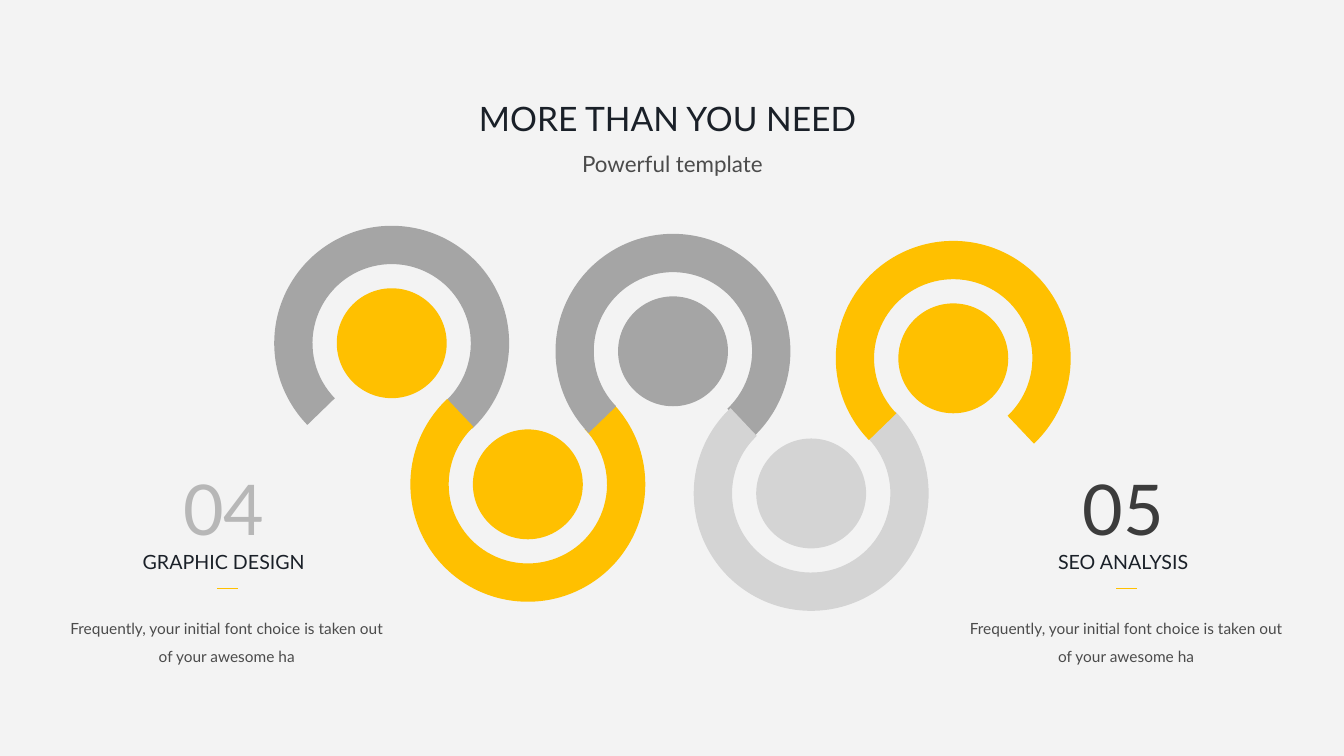
from dataclasses import dataclass
from lxml.etree import SubElement
from pptx import Presentation
from pptx.dml.color import RGBColor
from pptx.enum.shapes import MSO_CONNECTOR, MSO_SHAPE
from pptx.enum.text import MSO_ANCHOR, MSO_AUTO_SIZE, PP_ALIGN
from pptx.oxml.ns import qn
from pptx.util import Inches, Pt


@dataclass(frozen=True)
class Theme:
    font: str = "Lato"
    background: str = "F3F3F3"
    ink: str = "1A2028"
    body: str = "4B4B4B"
    dark: str = "3C3C3C"
    pale: str = "B7B7B7"
    gray: str = "A5A5A5"
    silver: str = "D4D4D4"
    accent: str = "FFC000"
    title_size: float = 24
    subtitle_size: float = 16
    number_size: float = 50
    heading_size: float = 14
    body_size: float = 11


T = Theme()
RING = 2.33
DISC = 1.09


def color(value):
    return RGBColor.from_string(value)


def place(sp, x, y, w, h):
    sp.left, sp.top, sp.width, sp.height = map(Inches, (x, y, w, h))


def write(sp, text, size, ink, align=PP_ALIGN.CENTER, insets=(0, 0), wrap=False):
    tf = sp.text_frame
    tf.word_wrap = wrap
    tf.auto_size = MSO_AUTO_SIZE.SHAPE_TO_FIT_TEXT
    tf.vertical_anchor = MSO_ANCHOR.TOP
    tf.margin_left = tf.margin_right = Inches(insets[0])
    tf.margin_top = tf.margin_bottom = Inches(insets[1])
    p = tf.paragraphs[0]
    p.alignment = align
    r = p.add_run()
    r.text = text
    r.font.name = T.font
    r.font.size = Pt(size)
    r.font.color.rgb = color(ink)
    return p


def add_text(s, box, *args, **kwargs):
    sp = s.shapes.add_textbox(*map(Inches, box))
    return write(sp, *args, **kwargs)


def add_header(s, x, y, w):
    title = s.shapes.title
    place(title, x, y, w, 0.4)
    write(title, "MORE THAN YOU NEED", T.title_size, T.ink, PP_ALIGN.LEFT)
    add_text(s, (x + w / 2 - 0.93, y + 0.52, 1.86, 0.27), "Powerful template",
             T.subtitle_size, T.body)


def add_solid(s, kind, x, y, size, fill):
    sp = s.shapes.add_shape(kind, *map(Inches, (x, y, size, size)))
    sp.shadow.inherit = False
    sp.fill.solid()
    sp.fill.fore_color.rgb = color(fill)
    sp.line.fill.background()
    return sp


def add_chain(s, x, y, links):
    for i, (dx, dy, ring_fill, _) in enumerate(links):
        ring = add_solid(s, MSO_SHAPE.BLOCK_ARC, x + dx, y + dy, RING, ring_fill)
        for k, value in enumerate((108, 54.42, 0.163)):
            ring.adjustments[k] = value
        ring.rotation = 135.9 if i % 2 else 315.9
    inset = (RING - DISC) / 2
    for dx, dy, _, disc_fill in links:
        add_solid(s, MSO_SHAPE.OVAL, x + dx + inset, y + dy + inset, DISC, disc_fill)


def add_caption(s, x, y, number, number_ink, heading, heading_w):
    center = x + 1.72
    p = add_text(s, (x, y + 1.42, 3.5, 0.68),
                 "Frequently, your initial font choice is taken out of your awesome ha",
                 T.body_size, T.body, insets=(0.12, 0.06), wrap=True)
    p.line_spacing = 1.5
    p.space_before = Pt(0.2 * T.body_size)
    add_text(s, (center - 0.51, y, 1.02, 0.94), number, T.number_size, number_ink,
             insets=(0.1, 0.05))
    p = add_text(s, (center - heading_w / 2, y + 0.88, heading_w, 0.28), heading,
                 T.heading_size, T.ink, insets=(0.1, 0.05))
    p.line_spacing = Pt(13.4)
    rule = s.shapes.add_connector(
        MSO_CONNECTOR.STRAIGHT, *map(Inches, (x + 1.65, y + 1.27, x + 1.86, y + 1.27)))
    rule.line.color.rgb = color(T.accent)
    rule.line.width = Pt(0.5)
    SubElement(rule._element.spPr, qn("a:effectLst"))


def main():
    prs = Presentation()
    prs.slide_width, prs.slide_height = Inches(13.33), Inches(7.5)
    s = prs.slides.add_slide(prs.slide_layouts[5])
    s.background.fill.solid()
    s.background.fill.fore_color.rgb = color(T.background)
    add_header(s, 4.75, 0.97, 3.84)
    add_chain(s, 2.72, 2.24, [
        (0, 0, T.gray, T.accent),
        (1.35, 1.4, T.accent, T.accent),
        (2.79, 0.08, T.gray, T.gray),
        (4.16, 1.49, T.silver, T.silver),
        (5.57, 0.15, T.accent, T.accent),
    ])
    add_caption(s, 9.42, 4.57, "05", T.dark, "SEO ANALYSIS", 1.55)
    add_caption(s, 0.5, 4.57, "04", T.pale, "GRAPHIC DESIGN", 1.83)
    prs.save("out.pptx")


if __name__ == "__main__":
    main()
